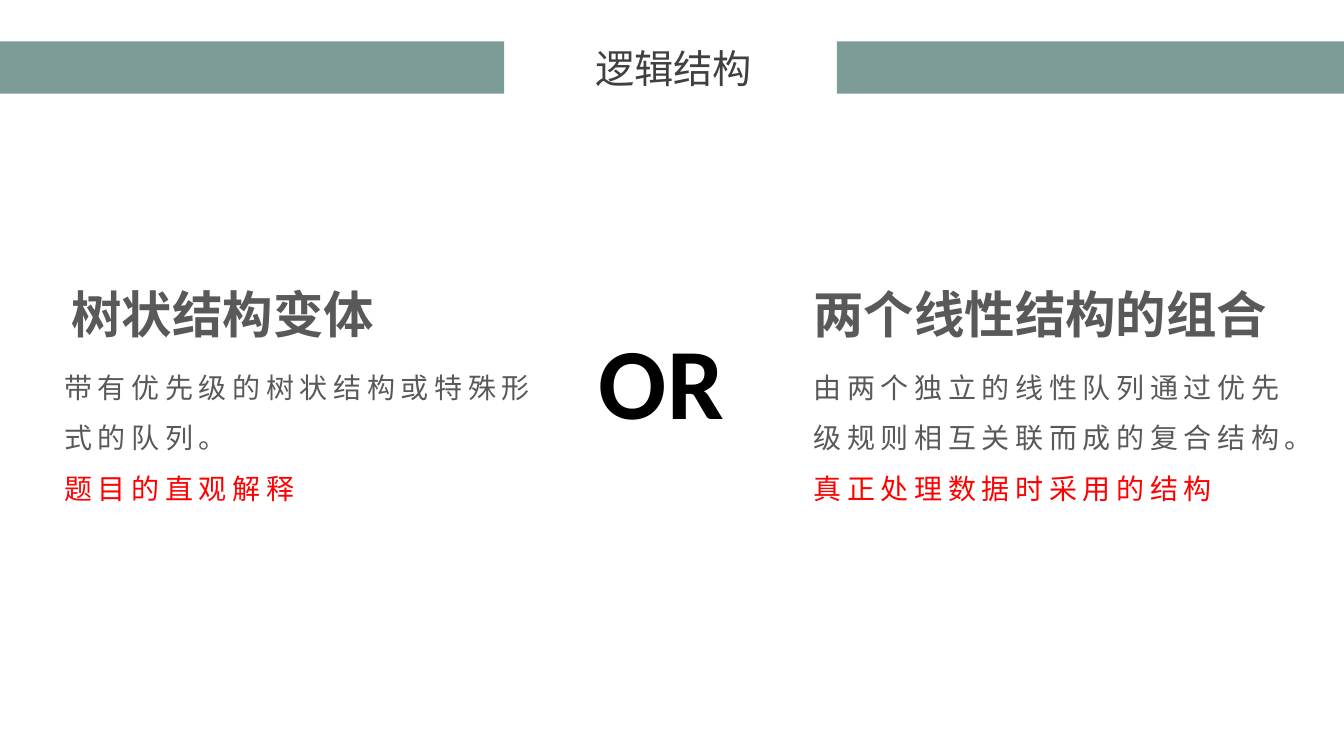
"""Build the slide that weighs two logical structures against each other."""
from dataclasses import dataclass

from lxml import etree
from pptx import Presentation
from pptx import util as u
from pptx.dml.color import RGBColor
from pptx.enum import shapes, text
from pptx.oxml.ns import qn
from pptx.slide import Slide

SCALE = 9144


@dataclass(frozen=True)
class Theme:
    bar: str = "185047"
    alpha: int = 56
    dark: str = "404040"
    grey: str = "595959"
    red: str = "FF0000"
    black: str = "000000"
    han: str = "Noto Sans CJK SC"
    latin: str = "Calibri"
    title: int = 28
    head: int = 36
    body: int = 20
    huge: int = 72


THEME = Theme()


@dataclass(frozen=True)
class Box:
    x: int
    y: int
    w: int
    h: int

    def emu(self) -> list[u.Emu]:
        return [u.Emu(n * SCALE) for n in (self.x, self.y, self.w, self.h)]


@dataclass(frozen=True)
class Style:
    size: int
    color: str
    font: str = THEME.han
    bold: bool = False
    gap: int = 0
    lead: float = 1.0
    mid: bool = False
    wrap: bool = True


@dataclass(frozen=True)
class Line:
    words: str
    style: Style


@dataclass(frozen=True)
class Label:
    box: Box
    lines: tuple[Line, ...]


TITLE = Style(THEME.title, THEME.dark, mid=True)
HEAD = Style(THEME.head, THEME.grey, bold=True)
BODY = Style(THEME.body, THEME.grey, gap=4, lead=1.5)
NOTE = Style(THEME.body, THEME.red, gap=4, lead=1.5)
HUGE = Style(THEME.huge, THEME.black, THEME.latin, bold=True, mid=True, wrap=False)

BARS = (Box(0, 41, 500, 52), Box(830, 41, 503, 52))
LABELS = (
    Label(Box(539, 39, 258, 57), (Line("逻辑结构", TITLE),)),
    Label(Box(61, 276, 455, 71), (Line("树状结构变体", HEAD),)),
    Label(Box(54, 346, 511, 156), (
        Line("带有优先级的树状结构或特殊形式的队列。", BODY),
        Line("题目的直观解释", NOTE))),
    Label(Box(797, 276, 536, 71), (Line("两个线性结构的组合", HEAD),)),
    Label(Box(797, 346, 511, 156), (
        Line("由两个独立的线性队列通过优先级规则相互关联而成的复合结构。", BODY),
        Line("真正处理数据时采用的结构", NOTE))),
    Label(Box(584, 311, 144, 131), (Line("OR", HUGE),)),
)


def add_bar(slide: Slide, box: Box) -> None:
    bar = slide.shapes.add_shape(shapes.MSO_SHAPE.RECTANGLE, *box.emu())
    bar.shadow.inherit = False
    bar.line.fill.background()
    bar.fill.solid()
    bar.fill.fore_color.rgb = RGBColor.from_string(THEME.bar)
    tint = bar.fill._xPr.find(qn("a:solidFill"))[0]
    etree.SubElement(tint, qn("a:alpha")).set("val", str(THEME.alpha * 1000))


def add_line(para, line: Line) -> None:
    style = line.style
    para.line_spacing = style.lead
    para.alignment = text.PP_ALIGN.CENTER if style.mid else text.PP_ALIGN.LEFT
    run = para.add_run()
    run.text = line.words
    font = run.font
    font.size = u.Pt(style.size)
    font.bold = style.bold
    font.name = style.font
    font.color.rgb = RGBColor.from_string(style.color)
    props = run._r.get_or_add_rPr()
    props.set("lang", "zh-CN")
    props.set("spc", str(style.gap * 100))
    etree.SubElement(props, qn("a:ea")).set("typeface", style.font)


def add_label(slide: Slide, label: Label) -> None:
    frame = slide.shapes.add_textbox(*label.box.emu()).text_frame
    frame.word_wrap = label.lines[0].style.wrap
    frame.auto_size = text.MSO_AUTO_SIZE.SHAPE_TO_FIT_TEXT
    for i, line in enumerate(label.lines):
        add_line(frame.add_paragraph() if i else frame.paragraphs[0], line)


def main() -> None:
    deck = Presentation()
    deck.slide_width, deck.slide_height = u.Emu(1333 * SCALE), u.Emu(750 * SCALE)
    slide = deck.slides.add_slide(deck.slide_layouts[6])
    for bar in BARS:
        add_bar(slide, bar)
    for label in LABELS:
        add_label(slide, label)
    deck.save("out.pptx")


if __name__ == "__main__":
    main()
